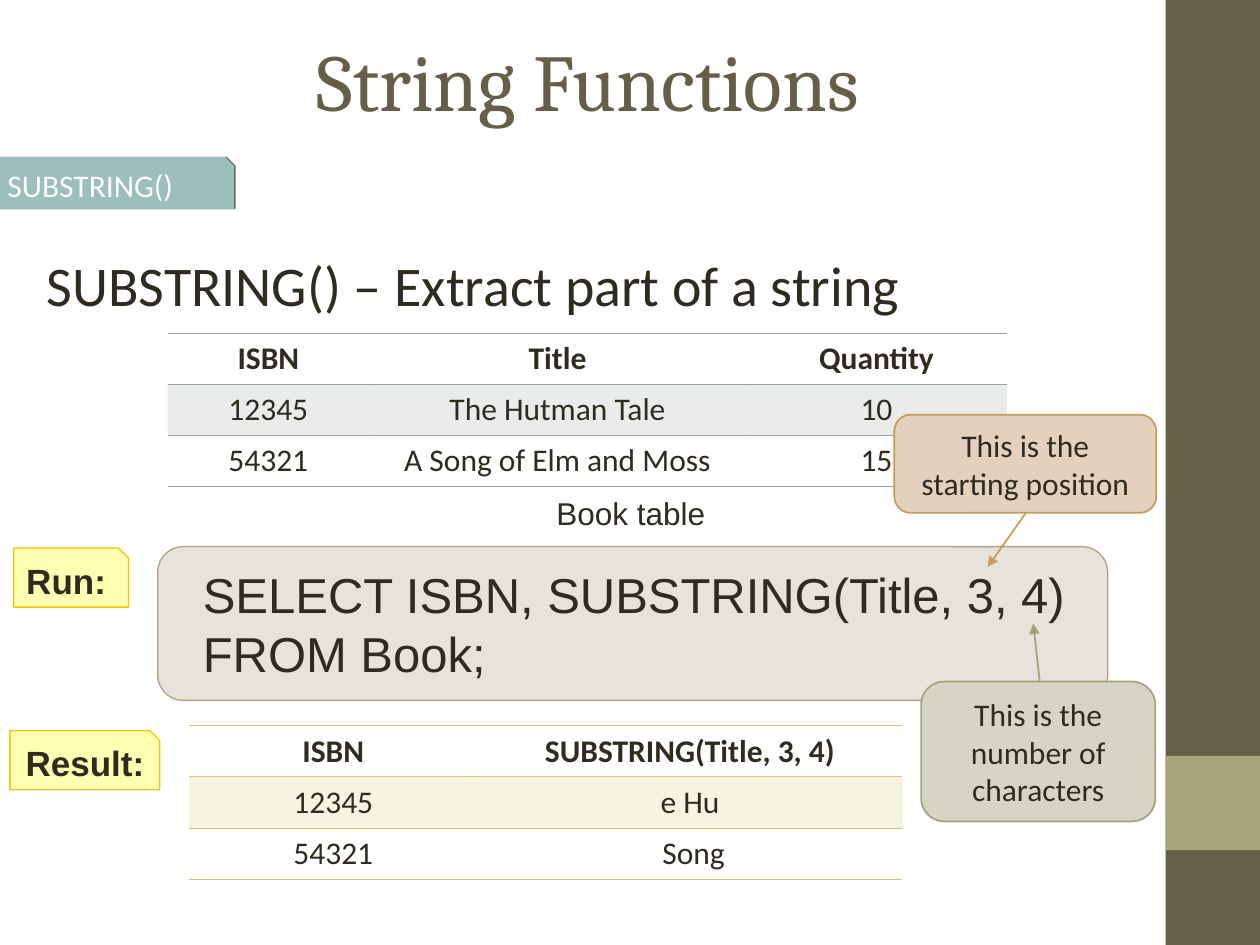
from dataclasses import dataclass
from typing import Any, Optional

import lxml.etree
import pptx
import pptx.dml.color
import pptx.enum.shapes
import pptx.enum.text
import pptx.oxml
import pptx.oxml.ns
import pptx.util

Cm = pptx.util.Cm
Pt = pptx.util.Pt
qn = pptx.oxml.ns.qn
Align = pptx.enum.text.PP_ALIGN
Anchor = pptx.enum.text.MSO_ANCHOR
Preset = pptx.enum.shapes.MSO_SHAPE


@dataclass(frozen=True)
class Theme:
    ink: str = "2F2B20"
    white: str = "FFFFFF"
    olive: str = "675E47"
    sage: str = "A9A57C"
    teal: str = "9CBEBD"
    taupe: str = "B1A089"
    yellow: str = "FFFF00"
    amber: str = "FFC000"
    book: str = "95A39D"
    result: str = "D2CB6C"
    start_fill: str = "E3D1BD"
    start_line: str = "C69C58"
    count_fill: str = "D5D4C5"
    count_line: str = "A6A278"
    title_font: str = "Cambria"
    body_font: str = "Calibri"
    code_font: str = "Arial"
    title_size: float = 46
    heading_size: float = 32
    code_size: float = 28
    label_size: float = 20
    body_size: float = 18


THEME = Theme()


@dataclass(frozen=True)
class Box:
    """Left, top, width and height in centimetres."""
    left: float
    top: float
    width: float
    height: float

    def lengths(self) -> tuple:
        return tuple(Cm(v) for v in (self.left, self.top, self.width, self.height))


@dataclass(frozen=True)
class Style:
    size: float = THEME.body_size
    font: str = THEME.body_font
    color: str = THEME.ink
    bold: bool = False
    align: Any = Align.CENTER
    anchor: Any = Anchor.MIDDLE
    left_inset: float = 0.25
    right_inset: float = 0.25


@dataclass(frozen=True)
class Panel:
    box: Box
    preset: Any
    fill: str
    line: Optional[str] = None
    line_width: float = 0.75
    opacity: int = 100
    text: str = ""
    style: Style = Style()


@dataclass(frozen=True)
class Callout:
    panel: Panel
    start: tuple
    end: tuple


@dataclass(frozen=True)
class Grid:
    left: float
    top: float
    columns: tuple
    color: str
    rows: tuple


ROW_HEIGHT = 1.03
NO_TABLE_STYLE = "{2D5ABB26-0587-4C30-8999-92F81FD0307C}"


def rgb(color: str) -> pptx.dml.color.RGBColor:
    return pptx.dml.color.RGBColor.from_string(color)


def apply_format(target: Any, values: dict) -> None:
    for name, value in values.items():
        setattr(target, name, value)


def write(frame: Any, text: str, style: Style) -> None:
    apply_format(frame, {
        "word_wrap": True, "vertical_anchor": style.anchor,
        "margin_left": Cm(style.left_inset), "margin_right": Cm(style.right_inset),
        "margin_top": Cm(0.13), "margin_bottom": Cm(0.13)})
    paragraph = frame.paragraphs[0]
    paragraph.alignment = style.align
    run = paragraph.add_run()
    run.text = text
    apply_format(run.font, {"size": Pt(style.size), "name": style.font, "bold": style.bold})
    run.font.color.rgb = rgb(style.color)


def set_fill(fill: Any, color: str, properties: Any, opacity: int = 100) -> None:
    fill.solid()
    fill.fore_color.rgb = rgb(color)
    if opacity < 100:
        tint = properties.find(qn("a:solidFill")).find(qn("a:srgbClr"))
        lxml.etree.SubElement(tint, qn("a:alpha")).set("val", str(opacity * 1000))


def draw_panel(shapes: Any, panel: Panel) -> Any:
    shape = shapes.add_shape(panel.preset, *panel.box.lengths())
    shape.shadow.inherit = False
    set_fill(shape.fill, panel.fill, shape._element.spPr, panel.opacity)
    if panel.line:
        shape.line.color.rgb = rgb(panel.line)
        shape.line.width = Pt(panel.line_width)
    else:
        shape.line.fill.background()
    if panel.text:
        write(shape.text_frame, panel.text, panel.style)
    return shape


def draw_text(shapes: Any, box: Box, text: str, style: Style) -> None:
    write(shapes.add_textbox(*box.lengths()).text_frame, text, style)


def draw_callout(shapes: Any, callout: Callout) -> None:
    members = shapes.add_group_shape().shapes
    draw_panel(members, callout.panel)
    arrow = members.add_connector(pptx.enum.shapes.MSO_CONNECTOR.STRAIGHT,
                                  *(Cm(v) for v in callout.start + callout.end))
    arrow.line.color.rgb = rgb(callout.panel.line)
    arrow.line.width = Pt(callout.panel.line_width)
    lxml.etree.SubElement(arrow.line._get_or_add_ln(), qn("a:tailEnd")).set("type", "triangle")
    lxml.etree.SubElement(arrow._element.spPr, qn("a:effectLst"))


def rule_cell(cell: Any, side: str, color: str) -> None:
    border = pptx.oxml.parse_xml(
        f'<a:{side} {pptx.oxml.ns.nsdecls("a")} w="{Pt(0.45)}"><a:solidFill>'
        f'<a:srgbClr val="{color}"/></a:solidFill></a:{side}>')
    cell._tc.get_or_add_tcPr().insert(0, border)


def draw_grid(shapes: Any, grid: Grid) -> None:
    box = Box(grid.left, grid.top, sum(grid.columns), ROW_HEIGHT * len(grid.rows))
    table = shapes.add_table(len(grid.rows), len(grid.columns), *box.lengths()).table
    table._tbl.tblPr.find(qn("a:tableStyleId")).text = NO_TABLE_STYLE
    for column, width in zip(table.columns, grid.columns):
        column.width = Cm(width)
    for r, row in enumerate(grid.rows):
        table.rows[r].height = Cm(ROW_HEIGHT)
        for c, value in enumerate(row):
            cell = table.cell(r, c)
            write(cell.text_frame, value, Style(bold=r == 0, anchor=Anchor.TOP))
            if r == 1:
                set_fill(cell.fill, grid.color, cell._tc.get_or_add_tcPr(), 20)
            else:
                cell.fill.background()
            # Rules above and below the header, and below the last row
            if r != 1:
                rule_cell(cell, "lnB", grid.color)
            if r < 2:
                rule_cell(cell, "lnT", grid.color)


def run_label(box: Box, text: str, align: Any) -> Panel:
    return Panel(box, Preset.SNIP_1_RECTANGLE, THEME.yellow, THEME.amber, 0.75, 30, text,
                 Style(THEME.label_size, THEME.code_font, bold=True, align=align, right_inset=0.14))


def note(box: Box, fill: str, line: str, text: str) -> Panel:
    return Panel(box, Preset.ROUNDED_RECTANGLE, fill, line, 1, 100, text, Style(anchor=Anchor.TOP))


def main() -> None:
    deck = pptx.Presentation()
    apply_format(deck, {"slide_width": Cm(25.4), "slide_height": Cm(19.05)})
    slide = deck.slides.add_slide(deck.slide_layouts[5])
    shapes = slide.shapes

    # Side band
    draw_panel(shapes, Panel(Box(23.5, 0, 1.9, 19.05), Preset.RECTANGLE, THEME.olive))
    draw_panel(shapes, Panel(Box(23.5, 15.24, 1.9, 1.9), Preset.RECTANGLE, THEME.sage))

    # Title and topic tab
    place = dict(zip(("left", "top", "width", "height"), Box(1.27, 0, 21.16, 3.18).lengths()))
    apply_format(shapes.title, place)
    write(shapes.title.text_frame, "String Functions",
          Style(THEME.title_size, THEME.title_font, THEME.olive))
    topic = draw_panel(shapes, Panel(
        Box(-0.1, 3.18, 4.8, 1.02), Preset.SNIP_1_RECTANGLE, THEME.teal, THEME.teal, 1, 100,
        "SUBSTRING()", Style(color=THEME.white, align=Align.LEFT)))
    topic._element.spPr.find(qn("a:effectLst")).append(pptx.oxml.parse_xml(
        f'<a:outerShdw {pptx.oxml.ns.nsdecls("a")} blurRad="0" dist="{Pt(1)}" dir="0">'
        '<a:srgbClr val="000000"><a:alpha val="60000"/></a:srgbClr></a:outerShdw>'))
    draw_text(shapes, Box(0.69, 4.93, 24.05, 3), "SUBSTRING() – Extract part of a string",
              Style(THEME.heading_size, align=Align.LEFT, anchor=Anchor.TOP))

    # Query
    draw_panel(shapes, Panel(
        Box(3.18, 11.02, 19.15, 3.1), Preset.ROUNDED_RECTANGLE, THEME.taupe, THEME.taupe, 0.75, 30,
        "SELECT ISBN, SUBSTRING(Title, 3, 4) FROM Book;",
        Style(THEME.code_size, THEME.code_font, align=Align.LEFT, left_inset=0.76)))

    # Result and source tables
    draw_grid(shapes, Grid(3.81, 14.63, (5.82, 8.56), THEME.result, (
        ("ISBN", "SUBSTRING(Title, 3, 4)"), ("12345", "e Hu"), ("54321", " Song"))))
    draw_grid(shapes, Grid(3.38, 6.71, (4.06, 7.6, 5.26), THEME.book, (
        ("ISBN", "Title", "Quantity"), ("12345", "The Hutman Tale", "10"),
        ("54321", "A Song of Elm and Moss", "15"))))
    draw_text(shapes, Box(9.91, 9.83, 5.61, 1.02), "Book table",
              Style(font=THEME.code_font, anchor=Anchor.TOP))

    # Step labels
    draw_panel(shapes, run_label(Box(0.2, 14.73, 3.02, 1.19), "Result:", Align.CENTER))
    draw_panel(shapes, run_label(Box(0.28, 11.05, 2.31, 1.19), "Run:", Align.LEFT))

    # Argument callouts
    draw_callout(shapes, Callout(
        note(Box(18.03, 8.36, 5.28, 1.98), THEME.start_fill, THEME.start_line,
             "This is the starting position"), (20.68, 10.34), (19.91, 11.43)))
    draw_callout(shapes, Callout(
        note(Box(18.57, 13.74, 4.72, 2.82), THEME.count_fill, THEME.count_line,
             "This is the number of characters"), (20.96, 13.74), (20.83, 12.57)))

    deck.save("out.pptx")


if __name__ == "__main__":
    main()
